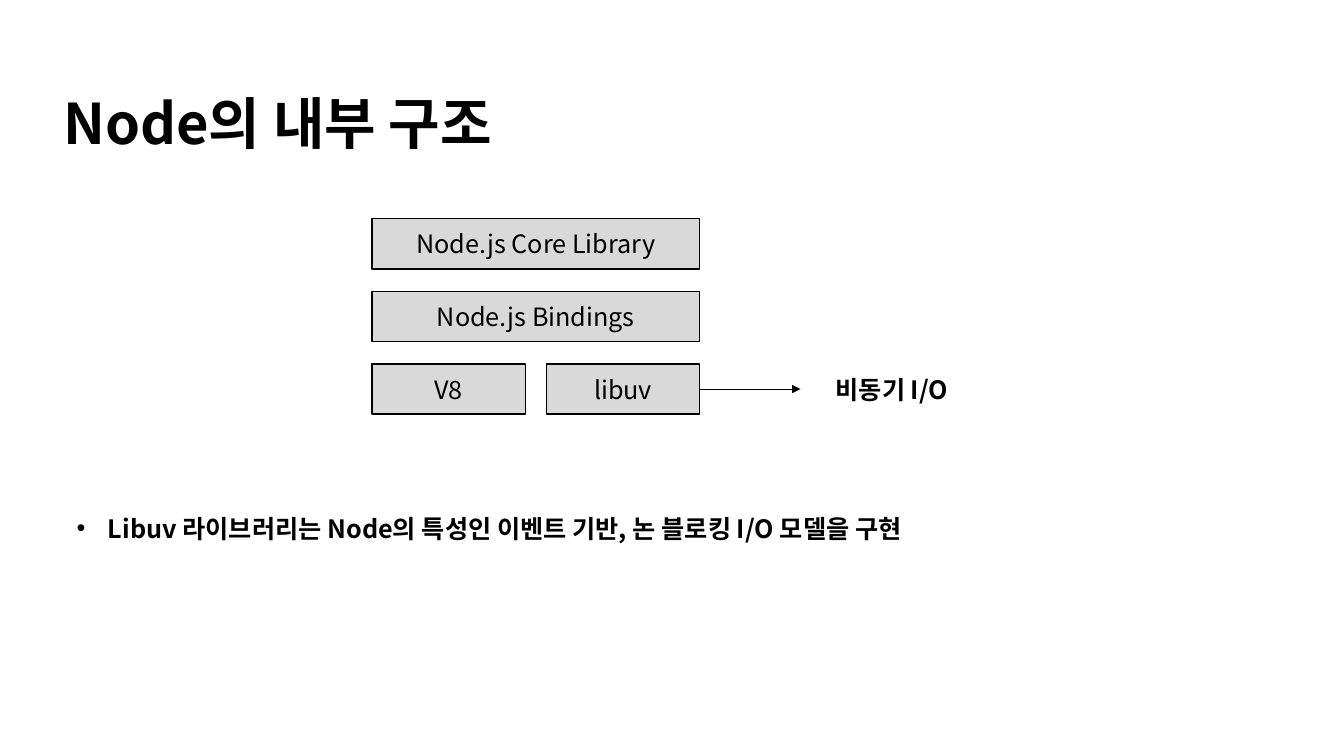
from dataclasses import dataclass

from lxml import etree
from pptx import Presentation
from pptx.dml.color import RGBColor
from pptx.enum.shapes import MSO_CONNECTOR, MSO_SHAPE
from pptx.enum.text import MSO_ANCHOR, MSO_AUTO_SIZE, PP_ALIGN
from pptx.oxml.ns import qn
from pptx.util import Inches, Pt

RECTANGLE, STRAIGHT = MSO_SHAPE.RECTANGLE, MSO_CONNECTOR.STRAIGHT
TOP, MIDDLE = MSO_ANCHOR.TOP, MSO_ANCHOR.MIDDLE
LEFT, CENTER = PP_ALIGN.LEFT, PP_ALIGN.CENTER
NO_AUTOFIT = MSO_AUTO_SIZE.NONE
RIGHT_SIDE = 3

# Content
TITLE = "Node의 내부 구조"
LAYERS = [  # name, column, row, columns spanned
    ("Node.js Core Library", 0, 0, 2),
    ("Node.js Bindings", 0, 1, 2),
    ("V8", 0, 2, 1),
    ("libuv", 1, 2, 1),
]
LIBUV_ROLE = "비동기 I/O"
SUMMARY = "Libuv 라이브러리는 Node의 특성인 이벤트 기반, 논 블로킹 I/O 모델을 구현"

# Layout in inches
SLIDE_SIZE = (13.33, 7.5)
TITLE_AREA = (0.53, 0.83, 7.02, 0.77)
SUMMARY_AREA = (0.66, 4.74, 9.31, 0.61)
GRID_LEFT, GRID_TOP = 3.69, 2.17
COLUMN_WIDTH, ROW_HEIGHT = 1.52, 0.5
COLUMN_GAP, ROW_GAP = 0.21, 0.22
ARROW_LENGTH, LABEL_GAP = 1.0, 0.25
LABEL_SIZE = (1.46, 0.4)
BULLET_INDENT = 0.31


@dataclass(frozen=True)
class Theme:
    font: str = "Noto Sans CJK KR"
    ink: RGBColor = RGBColor(0, 0, 0)
    layer_fill: RGBColor = RGBColor(0xD9, 0xD9, 0xD9)
    title_size: int = 40
    text_size: int = 18
    border: float = 1
    arrow: float = 0.5


THEME = Theme()


def inches(values):
    return [Inches(value) for value in values]


def place(shape, area):
    shape.left, shape.top, shape.width, shape.height = inches(area)


def write(shape, text, size, bold=False, align=LEFT, anchor=TOP):
    frame = shape.text_frame
    frame.word_wrap = True
    frame.auto_size = NO_AUTOFIT
    frame.vertical_anchor = anchor
    para = frame.paragraphs[0]
    para.alignment = align
    span = para.add_run()
    span.text = text
    span.font.name = THEME.font
    span.font.size = Pt(size)
    span.font.bold = bold
    span.font.color.rgb = THEME.ink
    east_asian = etree.SubElement(span.font._element, qn("a:ea"))
    east_asian.set("typeface", THEME.font)
    return para


def add_bullet(para):
    properties = para._p.get_or_add_pPr()
    properties.set("marL", str(Inches(BULLET_INDENT)))
    properties.set("indent", str(-Inches(BULLET_INDENT)))
    etree.SubElement(properties, qn("a:buFont")).set("typeface", "Arial")
    etree.SubElement(properties, qn("a:buChar")).set("char", "•")


def add_layer(page, name, column, row, span):
    box = page.shapes.add_shape(RECTANGLE, *inches((
        GRID_LEFT + column * (COLUMN_WIDTH + COLUMN_GAP),
        GRID_TOP + row * (ROW_HEIGHT + ROW_GAP),
        span * COLUMN_WIDTH + (span - 1) * COLUMN_GAP,
        ROW_HEIGHT,
    )))
    box.shadow.inherit = False
    box.fill.solid()
    box.fill.fore_color.rgb = THEME.layer_fill
    box.line.color.rgb = THEME.ink
    box.line.width = Pt(THEME.border)
    write(box, name, THEME.text_size, align=CENTER, anchor=MIDDLE)
    return box


def add_arrow(page, box):
    start = box.left + box.width
    middle = box.top + box.height // 2
    end = start + Inches(ARROW_LENGTH)
    arrow = page.shapes.add_connector(STRAIGHT, start, middle, end, middle)
    arrow.begin_connect(box, RIGHT_SIDE)
    arrow.line.color.rgb = THEME.ink
    arrow.line.width = Pt(THEME.arrow)
    etree.SubElement(arrow.line._get_or_add_ln(), qn("a:tailEnd")).set("type", "triangle")
    etree.SubElement(arrow._element.spPr, qn("a:effectLst"))
    return end, middle


def main():
    deck = Presentation()
    deck.slide_width, deck.slide_height = inches(SLIDE_SIZE)
    page = deck.slides.add_slide(deck.slide_layouts[1])

    # Title
    title = page.shapes.title
    place(title, TITLE_AREA)
    write(title, TITLE, THEME.title_size, bold=True)

    # Layers of the architecture
    boxes = {name: add_layer(page, name, *cell) for name, *cell in LAYERS}

    # Arrow from libuv to its role
    end, middle = add_arrow(page, boxes["libuv"])
    width, height = inches(LABEL_SIZE)
    label = page.shapes.add_textbox(
        end + Inches(LABEL_GAP), middle - height // 2, width, height)
    write(label, LIBUV_ROLE, THEME.text_size, bold=True)

    # Summary bullet
    body = page.placeholders[1]
    place(body, SUMMARY_AREA)
    para = write(body, SUMMARY, THEME.text_size, bold=True)
    para.line_spacing = 2.0
    para.space_before = Pt(0)
    add_bullet(para)

    deck.save("out.pptx")


if __name__ == "__main__":
    main()
